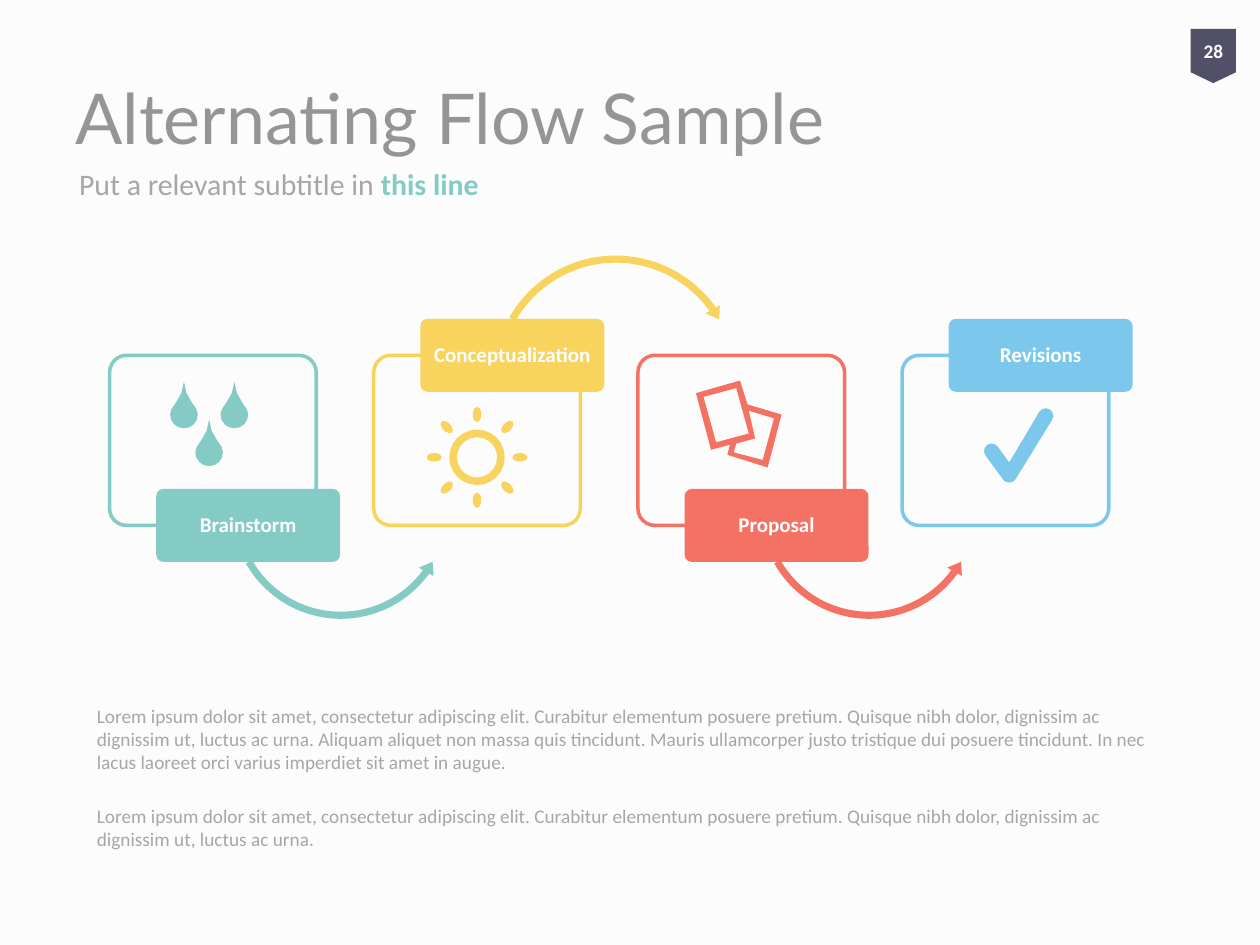
from math import cos, radians, sin

from pptx import Presentation
from pptx.dml.color import RGBColor
from pptx.enum.shapes import MSO_SHAPE
from pptx.enum.text import MSO_ANCHOR, PP_ALIGN
from pptx.util import Inches, Pt

ROUNDED = MSO_SHAPE.ROUNDED_RECTANGLE
ARROW_OVER = MSO_SHAPE.CIRCULAR_ARROW
ARROW_UNDER = MSO_SHAPE.LEFT_CIRCULAR_ARROW
PAGE_TAB = MSO_SHAPE.FLOWCHART_OFFPAGE_CONNECTOR
MIDDLE, TOP = MSO_ANCHOR.MIDDLE, MSO_ANCHOR.TOP
CENTER = PP_ALIGN.CENTER

PAPER = RGBColor(0xFC, 0xFC, 0xFC)
WHITE = RGBColor(0xFF, 0xFF, 0xFF)
TITLE_GRAY = RGBColor(0x95, 0x95, 0x95)
TEXT_GRAY = RGBColor(0xA6, 0xA6, 0xA6)
TEAL = RGBColor(0x84, 0xCB, 0xC5)
YELLOW = RGBColor(0xF8, 0xD3, 0x5E)
RED = RGBColor(0xF4, 0x72, 0x64)
BLUE = RGBColor(0x7C, 0xC8, 0xEC)
NAVY = RGBColor(0x52, 0x50, 0x68)

LOREM = ("Lorem ipsum dolor sit amet, consectetur adipiscing elit. Curabitur "
         "elementum posuere pretium. Quisque nibh dolor, dignissim ac "
         "dignissim ut, luctus ac urna.")
LOREM_MORE = (" Aliquam aliquet non massa quis tincidunt. Mauris ullamcorper "
              "justo tristique dui posuere tincidunt. In nec lacus laoreet "
              "orci varius imperdiet sit amet in augue.")


def add_run(paragraph, text, size, color, bold=False, font="Calibri"):
    run = paragraph.add_run()
    run.text = text
    run.font.size = Pt(size)
    run.font.name = font
    run.font.bold = bold
    run.font.color.rgb = color


def add_text_frame(slide, box, anchor=MIDDLE):
    frame = slide.shapes.add_textbox(*map(Inches, box)).text_frame
    frame.word_wrap = True
    frame.vertical_anchor = anchor
    return frame


def add_filled(slide, preset, box, color, adjustments=()):
    shape = slide.shapes.add_shape(preset, *map(Inches, box))
    shape.shadow.inherit = False
    shape.fill.solid()
    shape.fill.fore_color.rgb = color
    shape.line.fill.background()
    for index, value in enumerate(adjustments):
        shape.adjustments[index] = value
    return shape


def add_caption(shape, text, size, inset_x, inset_y, spacing=1.0):
    frame = shape.text_frame
    frame.margin_left = frame.margin_right = Inches(inset_x)
    frame.margin_top = frame.margin_bottom = Inches(inset_y)
    frame.vertical_anchor = MIDDLE
    frame.paragraphs[0].alignment = CENTER
    frame.paragraphs[0].line_spacing = spacing
    add_run(frame.paragraphs[0], text, size, WHITE, bold=True)


# Icon outlines, in inches from the corner of their card
def arc(center, radius, start, end, steps):
    angles = [radians(start + (end - start) * i / steps) for i in range(steps + 1)]
    return [(center[0] + radius * cos(a), center[1] + radius * sin(a)) for a in angles]


def ring(center, radius, steps):
    return arc(center, radius, 0, 360, steps)[:-1]


def drops_icon():
    right = [(0, 0), (0.02, 0.09), (0.06, 0.16), (0.1, 0.22)]
    right += arc((0, 0.26), 0.11, 0, 90, 4)
    drop = right + [(-x, y) for x, y in right[-2:0:-1]]
    tips = ((0.59, 0.21), (0.99, 0.21), (0.79, 0.51))
    return [[(left + x, top + y) for x, y in drop] for left, top in tips]


def sun_icon():
    center = (0.82, 0.81)
    outlines = [ring(center, 0.22, 24), ring(center, 0.16, 20)]
    for degrees in range(0, 360, 45):
        c, s = cos(radians(degrees)), sin(radians(degrees))
        ray = [(0.34 + 0.06 * x, 0.035 * y) for x, y in ring((0, 0), 1, 10)]
        outlines.append([(center[0] + x * c - y * s, center[1] + x * s + y * c)
                         for x, y in ray])
    return outlines


def sheets_icon():
    silhouette = [(0.81, 0.2), (0.46, 0.3), (0.58, 0.75), (0.73, 0.71),
                  (0.71, 0.79), (1.03, 0.89), (1.14, 0.47), (0.87, 0.39)]
    front_hole = [(0.52, 0.33), (0.78, 0.26), (0.88, 0.62), (0.62, 0.69)]
    back_hole = [(0.99, 0.83), (0.76, 0.77), (0.78, 0.7), (0.93, 0.66),
                 (0.88, 0.44), (1.08, 0.5)]
    return [silhouette, front_hole, back_hole]


def check_icon():
    radius = 0.06
    return [arc((0.71, 0.76), radius, 143, 323, 6) + [(0.85, 0.85)]
            + arc((1.14, 0.48), radius, -148, 32, 6)
            + arc((0.85, 0.95), radius, 32, 143, 5)]


def add_icon(slide, left, top, outlines, color):
    placed = [[(Inches(left + x), Inches(top + y)) for x, y in outline]
              for outline in outlines]
    builder = slide.shapes.build_freeform(*placed[0][0])
    for index, outline in enumerate(placed):
        if index:
            builder.move_to(*outline[0])
        builder.add_line_segments(outline[1:], close=True)
    icon = builder.convert_to_shape()
    icon.shadow.inherit = False
    icon.fill.solid()
    icon.fill.fore_color.rgb = color
    icon.line.fill.background()


def add_step(slide, box, label, color, outlines, label_on_top, has_arrow):
    left, top, width, height = box
    # Outlined card
    card = slide.shapes.add_shape(ROUNDED, *map(Inches, box))
    card.shadow.inherit = False
    card.adjustments[0] = 0.1
    card.fill.background()
    card.line.color.rgb = color
    card.line.width = Pt(2)
    # Arrow to the next step
    if has_arrow and label_on_top:
        add_filled(slide, ARROW_OVER, (left + 0.91, top - 0.83, 2.02, 2.02), color,
                   (0.028, 3.445, 194.8, 125.755, 0.033))
    elif has_arrow:
        add_filled(slide, ARROW_UNDER, (left + 0.93, top + 0.32, 1.81, 1.81), color,
                   (0.031, 3.874, 21.629, 90.245, 0.037))
    # Label centred on the card's top or bottom edge
    label_height = 0.58
    edge = top if label_on_top else top + height
    tag = add_filled(slide, ROUNDED,
                     (left + 0.37, edge - label_height / 2, 1.46, label_height),
                     color, (0.1,))
    add_caption(tag, label, 12, 0.04, 0.03, spacing=0.9)
    add_icon(slide, left, top, outlines, color)


def add_flow(slide, first_left, last_left, top):
    steps = (("Brainstorm", TEAL, drops_icon()),
             ("Conceptualization", YELLOW, sun_icon()),
             ("Proposal", RED, sheets_icon()),
             ("Revisions", BLUE, check_icon()))
    last = len(steps) - 1
    pitch = (last_left - first_left) / last
    for index, (label, color, outlines) in enumerate(steps):
        add_step(slide, (first_left + index * pitch, top, 1.64, 1.35), label, color,
                 outlines, label_on_top=index % 2 == 1, has_arrow=index < last)


def add_heading(slide, title_box, subtitle_box):
    title = add_text_frame(slide, title_box).paragraphs[0]
    add_run(title, "Alternating Flow Sample", 40, TITLE_GRAY, font="Lato")
    subtitle = add_text_frame(slide, subtitle_box).paragraphs[0]
    add_run(subtitle, "Put a relevant subtitle in ", 17, TEXT_GRAY)
    add_run(subtitle, "this line", 17, TEAL, bold=True)


def add_description(slide, box):
    frame = add_text_frame(slide, box, TOP)
    add_run(frame.paragraphs[0], LOREM + LOREM_MORE, 11, TEXT_GRAY)
    closing = frame.add_paragraph()
    closing.space_before = Pt(17.6)
    add_run(closing, LOREM, 11, TEXT_GRAY)


def add_page_number(slide, box):
    add_caption(add_filled(slide, PAGE_TAB, box, NAVY), "28", 11, 0, 0)


def main():
    deck = Presentation()
    deck.slide_width, deck.slide_height = Inches(10), Inches(7.5)
    slide = deck.slides.add_slide(deck.slide_layouts[6])
    slide.background.fill.solid()
    slide.background.fill.fore_color.rgb = PAPER
    add_heading(slide, (0.5, 0.3, 8.83, 1.25), (0.53, 1.19, 5.63, 0.53))
    add_flow(slide, 0.87, 7.16, 2.82)
    add_description(slide, (0.67, 5.54, 8.74, 0.89))
    add_page_number(slide, (9.45, 0.23, 0.36, 0.43))
    deck.save("out.pptx")


if __name__ == "__main__":
    main()
